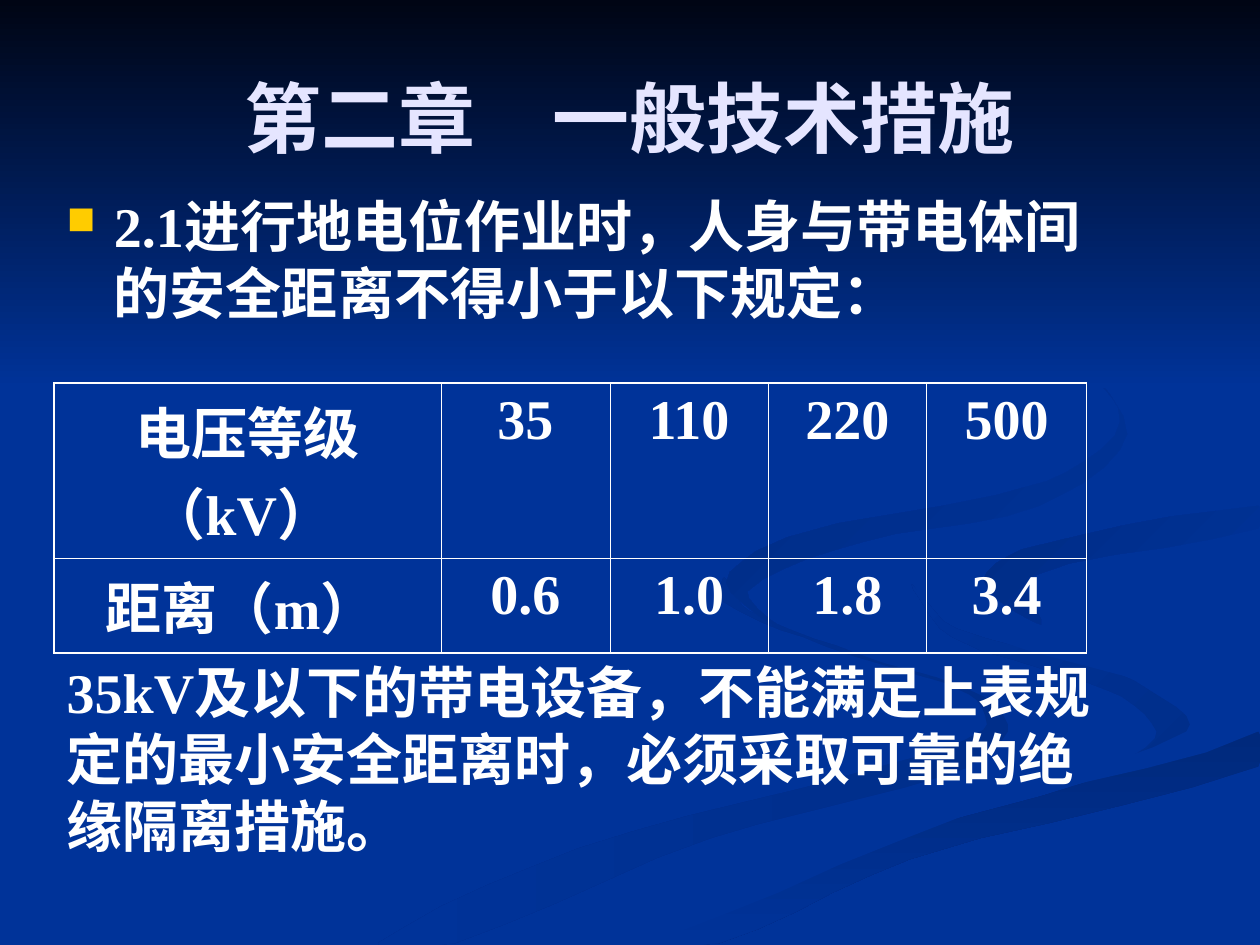
"""Build a slide on safe distances for live-line work over a ribbon backdrop."""
from math import dist
from typing import NamedTuple

from lxml import etree
from pptx import Presentation
from pptx.dml.color import RGBColor
from pptx.enum.shapes import MSO_SHAPE
from pptx.enum.text import MSO_ANCHOR, PP_ALIGN
from pptx.oxml.ns import qn
from pptx.util import Pt

RECT = MSO_SHAPE.RECTANGLE
TOP, MIDDLE = MSO_ANCHOR.TOP, MSO_ANCHOR.MIDDLE
LEFT, CENTER = PP_ALIGN.LEFT, PP_ALIGN.CENTER
NAVY = RGBColor(0x00, 0x05, 0x14)
BLUE = RGBColor(0x00, 0x33, 0x99)
DUSK = RGBColor(0x00, 0x2E, 0x8A)
DEEP = RGBColor(0x00, 0x29, 0x7C)
SHADE = RGBColor(0x00, 0x2C, 0x85)
DIM = RGBColor(0x00, 0x2B, 0x81)
LILAC = RGBColor(0xE5, 0xE5, 0xFF)
WHITE = RGBColor(0xFF, 0xFF, 0xFF)
GOLD = RGBColor(0xFF, 0xCC, 0x00)
FACE = "Times New Roman"
WIDE, HIGH = 720, 540
STEPS = 5
THIN, THICK = 0.45, 1.08
WIDTHS = (221, 96.5, 90.5, 90.5, 91.5)
HEIGHTS = (100, 54)
ROWS = (
    ("电压等级（kV） ", "35", "110", "220", "500"),
    ("距离（m） ", "0.6", "1.0", "1.8", "3.4"),
)


class Ribbon(NamedTuple):
    """A closed smooth outline with a two-colour fill and its angle."""

    first: RGBColor
    last: RGBColor
    angle: int
    knots: tuple


class Label(NamedTuple):
    """A text box with its place and look."""

    text: str
    box: tuple
    size: int
    color: RGBColor
    align: PP_ALIGN
    anchor: MSO_ANCHOR


RIBBONS = (
    Ribbon(DUSK, BLUE, 180, (
        (562, 398), (491, 374), (428, 349), (414, 330), (412, 343),
        (471, 369), (554, 397), (562, 417), (492, 441), (330, 485),
        (216, 539), (260, 539), (406, 479), (544, 442), (576, 418))),
    Ribbon(DUSK, BLUE, 135, (
        (679, 410), (639, 385), (546, 359), (521, 334), (544, 364),
        (634, 395), (661, 418), (644, 436), (678, 418))),
    Ribbon(DEEP, BLUE, 270, (
        (362, 539), (411, 539), (520, 491), (719, 438), (719, 418),
        (624, 446), (477, 490))),
    Ribbon(BLUE, BLUE, 0, (
        (522, 334), (570, 366), (662, 394), (678, 418), (562, 456),
        (343, 539), (374, 538), (551, 466), (719, 418), (719, 387),
        (588, 354), (570, 322), (719, 289), (719, 279), (554, 307))),
    Ribbon(BLUE, SHADE, 135, (
        (562, 331), (595, 357), (588, 330), (719, 302), (719, 289), (592, 312))),
    Ribbon(BLUE, DIM, 135, (
        (492, 310), (594, 289), (644, 248), (607, 198), (549, 168),
        (609, 201), (640, 241), (598, 275), (450, 307), (415, 333),
        (448, 360), (427, 338))),
)
TITLE = Label("第二章　一般技术措施", (36, 21.6, 648, 90), 44, LILAC, CENTER, MIDDLE)
RULE = Label("2.1进行地电位作业时，人身与带电体间的安全距离不得小于以下规定：",
             (31, 106, 624, 110), 32, WHITE, LEFT, TOP)
NOTE = Label("35kV及以下的带电设备，不能满足上表规定的最小安全距离时，必须采取可靠的绝缘隔离措施。",
             (31, 372, 607, 122.4), 32, WHITE, LEFT, TOP)


def paint(shape, first: RGBColor, last: RGBColor, angle: int) -> None:
    """Fill a shape with one colour or a blend, without line or shadow."""
    shape.shadow.inherit = False
    shape.line.fill.background()
    if first == last:
        shape.fill.solid()
        shape.fill.fore_color.rgb = first
        return
    shape.fill.gradient()
    shape.fill.gradient_angle = angle
    for stop, color in zip(shape.fill.gradient_stops, (first, last)):
        stop.color.rgb = color


def smooth(knots: tuple) -> list:
    """Return points on a closed curve through the knots, kept on the slide."""
    count, points = len(knots), []
    for i in range(count):
        prev, here, then, far = (knots[(i + k) % count] for k in (-1, 0, 1, 2))
        span = dist(here, then)
        lead = span / (dist(prev, here) + span)
        tail = span / (span + dist(then, far))
        for step in range(STEPS):
            t = step / STEPS
            x, y = (
                (2 * t**3 - 3 * t**2 + 1) * b + (3 * t**2 - 2 * t**3) * c
                + (t**3 - 2 * t**2 + t) * lead * (c - a)
                + (t**3 - t**2) * tail * (d - b)
                for a, b, c, d in zip(prev, here, then, far))
            points.append((min(x, WIDE), min(y, HIGH)))
    return points


def draw_ribbon(shapes, ribbon: Ribbon) -> None:
    """Draw one closed ribbon."""
    start, *rest = smooth(ribbon.knots)
    pen = shapes.build_freeform(*start, scale=Pt(1))
    pen.add_line_segments(rest, close=True)
    paint(pen.convert_to_shape(), ribbon.first, ribbon.last, ribbon.angle)


def style(para, size: int, color: RGBColor, align: PP_ALIGN) -> None:
    """Set the font and alignment of a paragraph."""
    para.alignment = align
    font = para.font
    font.name, font.size, font.bold = FACE, Pt(size), True
    font.color.rgb = color


def draw_label(shapes, label: Label):
    """Draw a text box and return its paragraph."""
    frame = shapes.add_textbox(*map(Pt, label.box)).text_frame
    frame.word_wrap = True
    frame.vertical_anchor = label.anchor
    para = frame.paragraphs[0]
    para.text = label.text
    style(para, label.size, label.color, label.align)
    return para


def add_bullet(para) -> None:
    """Give a paragraph a gold square bullet with a hanging indent."""
    para.space_before = Pt(8)
    props = para._p.get_or_add_pPr()
    props.set("marL", str(Pt(27)))
    props.set("indent", str(-Pt(27)))
    parts = [etree.Element(qn(f"a:{tag}")) for tag in ("buClr", "buSzPct", "buChar")]
    etree.SubElement(parts[0], qn("a:srgbClr")).set("val", str(GOLD))
    parts[1].set("val", "70000")
    parts[2].set("char", "■")
    spot = props.index(props.find(qn("a:spcBef"))) + 1
    props[spot:spot] = parts


def add_edge(cell, side: str, width: float) -> None:
    """Add one white border line to a cell."""
    props = cell._tc.get_or_add_tcPr()
    line = etree.SubElement(props, qn(f"a:{side}"), w=str(Pt(width)))
    fill = etree.SubElement(line, qn("a:solidFill"))
    etree.SubElement(fill, qn("a:srgbClr")).set("val", str(WHITE))


def draw_table(shapes) -> None:
    """Draw the table of voltage classes and distances."""
    tall, wide = len(ROWS), len(WIDTHS)
    box = (31, 219, sum(WIDTHS), sum(HEIGHTS))
    table = shapes.add_table(tall, wide, *map(Pt, box)).table
    table.first_row = table.horz_banding = False
    for col, width in zip(table.columns, WIDTHS):
        col.width = Pt(width)
    for r, (texts, height) in enumerate(zip(ROWS, HEIGHTS)):
        table.rows[r].height = Pt(height)
        for c, text in enumerate(texts):
            cell = table.cell(r, c)
            cell.text = text
            para = cell.text_frame.paragraphs[0]
            style(para, 32, WHITE, CENTER)
            para.space_before = Pt(8)
            outer = {"lnL": c == 0, "lnR": c == wide - 1,
                     "lnT": r == 0, "lnB": r == tall - 1}
            for side, edge in outer.items():
                add_edge(cell, side, THICK if edge else THIN)
            cell.fill.background()


def main() -> None:
    """Build and save the slide."""
    deck = Presentation()
    deck.slide_width, deck.slide_height = Pt(WIDE), Pt(HIGH)
    slide = deck.slides.add_slide(deck.slide_layouts[6])
    slide.background.fill.solid()
    slide.background.fill.fore_color.rgb = BLUE
    shapes = slide.shapes
    for ribbon in RIBBONS:
        draw_ribbon(shapes, ribbon)
    paint(shapes.add_shape(RECT, 0, 0, Pt(WIDE), Pt(222)), NAVY, BLUE, 270)
    draw_label(shapes, TITLE)
    add_bullet(draw_label(shapes, RULE))
    draw_table(shapes)
    draw_label(shapes, NOTE)
    deck.save("out.pptx")


if __name__ == "__main__":
    main()
